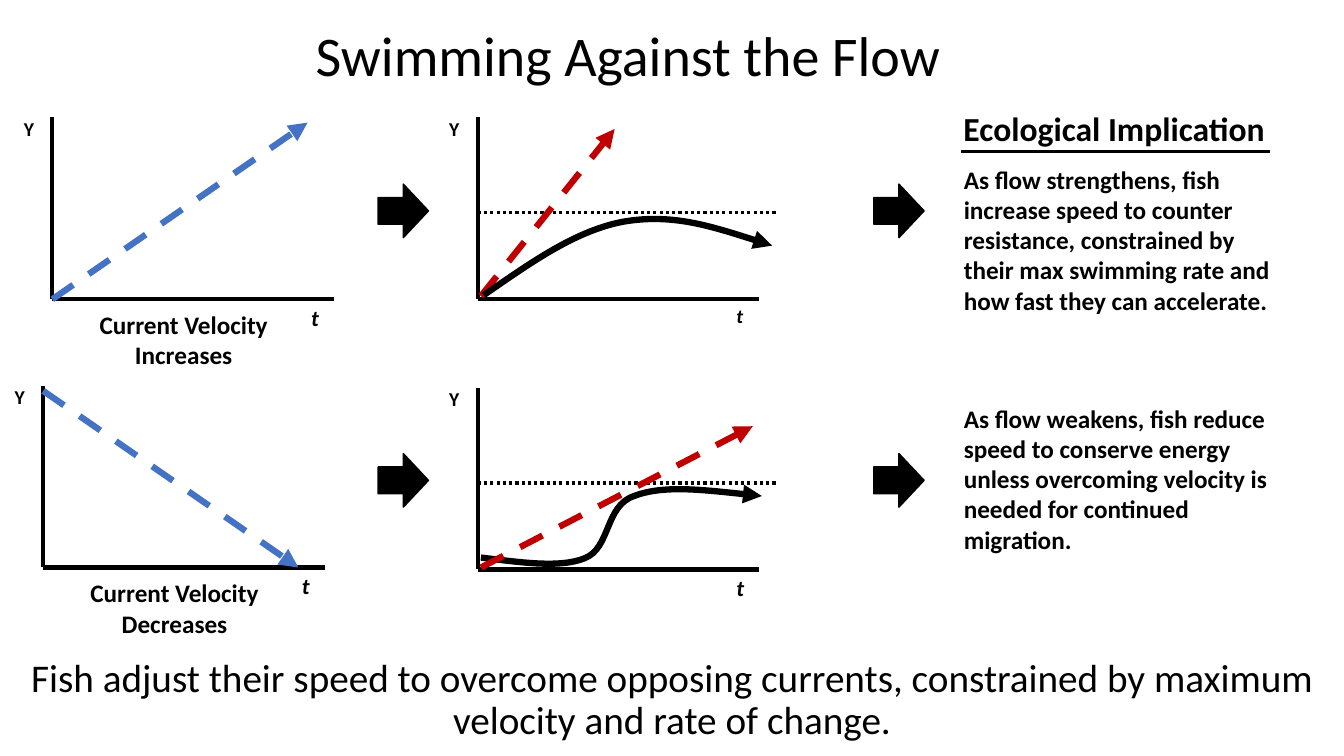
from lxml import etree
from pptx import Presentation
from pptx.dml.color import RGBColor
from pptx.enum.dml import MSO_LINE
from pptx.enum.shapes import MSO_CONNECTOR, MSO_SHAPE
from pptx.enum.text import MSO_ANCHOR, PP_ALIGN
from pptx.oxml.ns import qn
from pptx.util import Cm, Pt

STRAIGHT = MSO_CONNECTOR.STRAIGHT
RIGHT_ARROW = MSO_SHAPE.RIGHT_ARROW
DASH, DOTS = MSO_LINE.DASH, MSO_LINE.ROUND_DOT
LEFT, CENTER = PP_ALIGN.LEFT, PP_ALIGN.CENTER
TOP, MIDDLE = MSO_ANCHOR.TOP, MSO_ANCHOR.MIDDLE
BLACK, BLUE, RED = "000000", "4472C4", "C00000"
color = RGBColor.from_string

deck = Presentation()
deck.slide_width, deck.slide_height = Cm(33.87), Cm(19.05)
slide = deck.slides.add_slide(deck.slide_layouts[6])
shapes = slide.shapes


def add_text(text, left, top, width, height, size=18, bold=True, italic=False,
             align=LEFT, anchor=TOP, wrap=True, spacing=1.0):
    frame = shapes.add_textbox(Cm(left), Cm(top), Cm(width), Cm(height)).text_frame
    frame.word_wrap = wrap
    frame.vertical_anchor = anchor
    frame.text = text
    for paragraph in frame.paragraphs:
        paragraph.alignment = align
        paragraph.line_spacing = spacing
        font = paragraph.font
        font.name, font.size = "Calibri", Pt(size)
        font.bold, font.italic = bold, italic
        font.color.rgb = color(BLACK)


def add_stroke(points, ink=BLACK, width=3, dash=None, arrow=False):
    """Draw a straight line through two points, or a Bézier curve through more."""
    points = [(Cm(x), Cm(y)) for x, y in points]
    if len(points) == 2:
        stroke = shapes.add_connector(STRAIGHT, *points[0], *points[1])
    else:
        builder = shapes.build_freeform(*points[0], scale=1.0)
        builder.add_line_segments(points[1:], close=False)
        stroke = builder.convert_to_shape()
        stroke.fill.background()
        outline = next(stroke._element.iter(qn("a:path")))
        segments = outline.findall(qn("a:lnTo"))
        for start in range(0, len(segments), 3):
            bezier = etree.SubElement(outline, qn("a:cubicBezTo"))
            for segment in segments[start:start + 3]:
                bezier.append(segment[0])
                outline.remove(segment)
    stroke.line.color.rgb = color(ink)
    stroke.line.width = Pt(width)
    if dash:
        stroke.line.dash_style = dash
    properties = stroke._element.spPr
    if arrow:
        etree.SubElement(properties.find(qn("a:ln")), qn("a:tailEnd"), type="triangle")
    etree.SubElement(properties, qn("a:effectLst"))


add_text("Swimming Against the Flow", 1.22, 0, 29.21, 2.92, size=40, bold=False,
         align=CENTER, anchor=MIDDLE, spacing=0.9)
add_text("Fish adjust their speed to overcome opposing currents, constrained by "
         "maximum velocity and rate of change.", 0, 16.28, 33.87, 2.77, size=28,
         bold=False, align=CENTER, anchor=MIDDLE, spacing=0.9)

# Points are measured right and up from each graph's corner
current_rise = [(0, 0), (6.43, 4.45)]
current_fall = [(0, 4.45), (6.43, 0)]
steep_demand = [(0.08, 0.08), (3.45, 4.29)]
mild_demand = [(0.08, 0.05), (6.93, 3.61)]
fish_tiring = [(0.15, 0.1), (1.32, 0.91), (2.49, 1.75), (3.71, 1.96),
               (4.93, 2.16), (6.17, 1.75), (7.42, 1.35)]
fish_saving = [(0.08, 0.3), (1.07, 0.18), (2.06, 0.03), (2.69, 0.28), (3.35, 0.53),
               (3.2, 1.6), (3.94, 1.85), (4.67, 2.13), (5.92, 1.98), (7.16, 1.85)]

# corner x, corner y, size of "t", caption, strokes from back to front
graphs = [
    (1.32, 7.54, 16, "Current Velocity\nIncreases", [(current_rise, BLUE)]),
    (12.04, 7.54, 14, None, [(steep_demand, RED), (fish_tiring, BLACK)]),
    (1.09, 14.3, 16, "Current Velocity\nDecreases", [(current_fall, BLUE)]),
    (12.04, 14.35, 16, None, [(fish_saving, BLACK), (mild_demand, RED)]),
]
for x, y, t_size, caption, strokes in graphs:
    if caption:
        add_text(caption, x + 0.51, y + 0.13, 5.6, 1.8, align=CENTER)
    else:
        add_stroke([(x, y - 2.18), (x + 7.57, y - 2.18)], width=2.25, dash=DOTS)
    add_stroke([(x, y), (x, y - 4.58)])
    add_stroke([(x, y), (x + 7.1, y)])
    add_text("t", x + 6.27, y, 0.7, 0.94, size=t_size, italic=True, wrap=False)
    add_text("Y", x - 0.97, y - 4.72, 1.63, 1.14, size=14, wrap=False)
    for points, ink in strokes:
        add_stroke([(x + right, y - up) for right, up in points], ink, 4.5,
                   DASH if len(points) == 2 else None, arrow=True)

add_text("Ecological Implication", 24.03, 2.59, 8.18, 1.27, size=24, wrap=False)
add_stroke([(24.23, 3.81), (32, 3.81)], width=2.25)

implications = [
    (4.01, 4.64, "As flow strengthens, fish increase speed to counter resistance, "
     "constrained by their max swimming rate and how fast they can accelerate."),
    (10.03, 11.43, "As flow weakens, fish reduce speed to conserve energy unless "
     "overcoming velocity is needed for continued migration."),
]
for text_top, arrow_top, implication in implications:
    add_text(implication, 24.04, text_top, 8.56, 4.11)
    for arrow_left in (9.53, 22.02):
        step = shapes.add_shape(RIGHT_ARROW, Cm(arrow_left), Cm(arrow_top),
                                Cm(1.27), Cm(1.35))
        step.shadow.inherit = False
        step.fill.solid()
        step.fill.fore_color.rgb = color(BLACK)
        step.line.color.rgb = color(BLACK)
        step.line.width = Pt(1)

deck.save("out.pptx")
